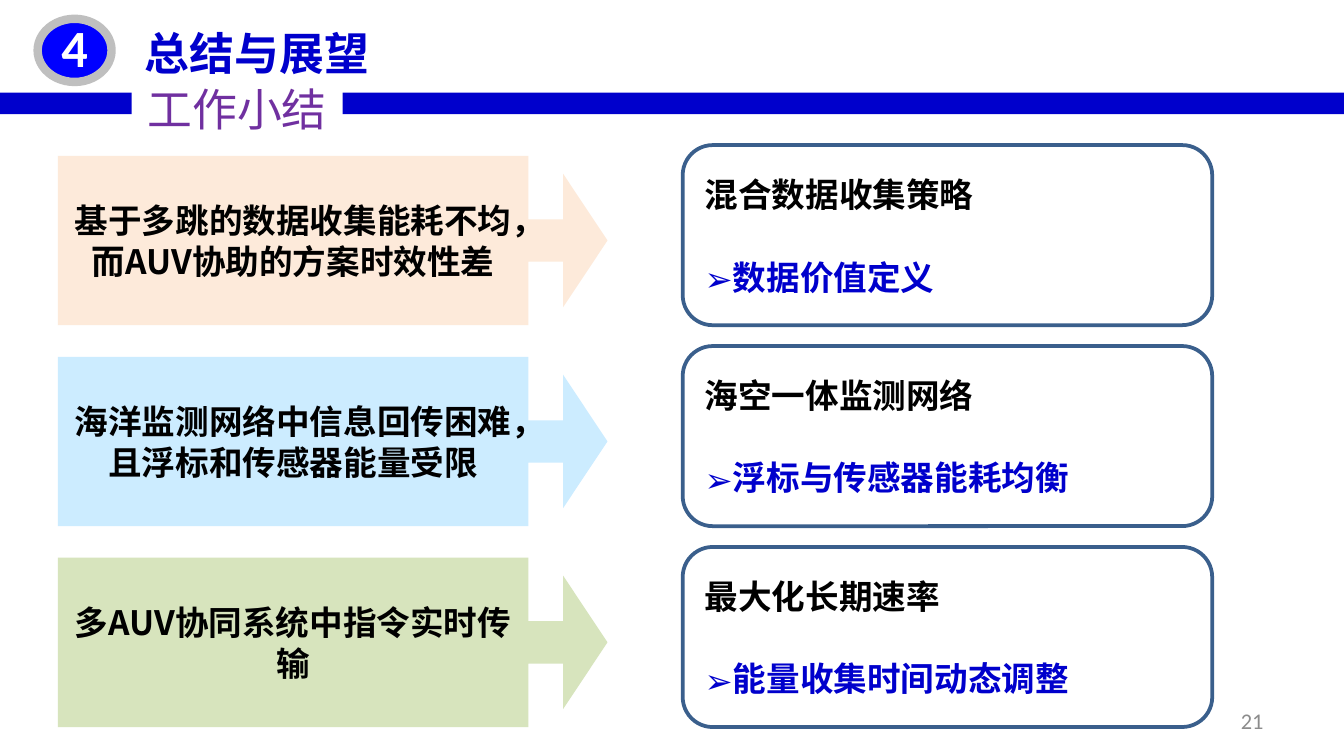
from dataclasses import dataclass

from lxml.etree import SubElement
from pptx import Presentation
from pptx.dml.color import RGBColor as RGB
from pptx.enum.shapes import MSO_SHAPE as SHAPE
from pptx.enum.text import MSO_ANCHOR as ANCHOR, PP_ALIGN as ALIGN
from pptx.oxml.ns import qn
from pptx.util import Inches, Pt


@dataclass(frozen=True)
class Theme:
    cjk: str = "Noto Sans CJK SC"
    latin: str = "Calibri"
    blue: str = "0000CC"
    badge: str = "0000FF"
    ring: str = "BFBFBF"
    purple: str = "7030A0"
    outline: str = "3A5F8C"
    white: str = "FFFFFF"
    black: str = "000000"
    grey: str = "8C8C8C"
    title: int = 24
    number: int = 28
    body: int = 18
    footer: int = 12


T = Theme()
prs = Presentation()
prs.slide_width = Inches(10)
prs.slide_height = prs.slide_width * 9 // 16
s = prs.slides.add_slide(prs.slide_layouts[6])


def add_box(kind, x, y, w, h, fill=None, line=None, width=0):
    """Add a preset shape, or a text box when kind is None."""
    place = [Inches(v) for v in (x, y, w, h)]
    if kind is None:
        sp = s.shapes.add_textbox(*place)
    else:
        sp = s.shapes.add_shape(kind, *place)
        sp.shadow.inherit = False
        if fill:
            sp.fill.solid()
            sp.fill.fore_color.rgb = RGB.from_string(fill)
        else:
            sp.fill.background()
        if line:
            sp.line.color.rgb = RGB.from_string(line)
            sp.line.width = Pt(width)
        else:
            sp.line.fill.background()
    sp.text_frame.word_wrap = True
    sp.text_frame.vertical_anchor = ANCHOR.MIDDLE
    return sp


def write(sp, text, size, color, align, font=T.cjk, bold=False):
    """Fill the shape with one paragraph for each line of text."""
    sp.text_frame.text = text
    for p in sp.text_frame.paragraphs:
        p.alignment = align
        f = p.runs[0].font
        f.size, f.bold, f.name = Pt(size), bold, font
        f.color.rgb = RGB.from_string(color)
        SubElement(f._element, qn("a:ea")).set("typeface", font)
    return sp.text_frame.paragraphs


# Header
add_box(SHAPE.RECTANGLE, 0, 0.69, 10, 0.16, T.blue)
title = add_box(None, 0.98, 0.14, 6.38, 0.5)
write(title, "总结与展望", T.title, T.blue, ALIGN.JUSTIFY, bold=True)
add_box(SHAPE.OVAL, 0.28, 0.14, 0.55, 0.47, T.badge, T.ring, 4.5)
subtitle = add_box(SHAPE.RECTANGLE, 0.98, 0.61, 1.57, 0.39, T.white)
write(subtitle, "工作小结", T.title, T.purple, ALIGN.CENTER)
number = add_box(None, 0.28, 0.06, 0.55, 0.58)
write(number, "4", T.number, T.white, ALIGN.CENTER, T.latin, True)

# Each row: a problem pointing to its solution
rows = [
    ("FDEADA", "基于多跳的数据收集能耗不均，而AUV协助的方案时效性差",
     "混合数据收集策略", "数据价值定义"),
    ("CCECFF", "海洋监测网络中信息回传困难，且浮标和传感器能量受限",
     "海空一体监测网络", "浮标与传感器能耗均衡"),
    ("D7E4BD", "多AUV协同系统中指令实时传输",
     "最大化长期速率", "能量收集时间动态调整"),
]
line_height = Pt(22)
for i, (fill, problem, solution, detail) in enumerate(rows):
    y = 1.08 + 1.495 * i
    callout = add_box(SHAPE.RIGHT_ARROW_CALLOUT, 0.43, y + 0.08, 4.09, 1.26, fill)
    for k, value in enumerate((0.25, 0.394, 0.262, 0.856)):
        callout.adjustments[k] = value
    p, = write(callout, problem, T.body, T.black, ALIGN.CENTER, bold=True)
    p.line_spacing = line_height

    card = add_box(SHAPE.ROUNDED_RECTANGLE, 5.08, y, 3.94, 1.34, None, T.outline, 2)
    head, item = write(card, f"{solution}\n{detail}", T.body, T.black,
                       ALIGN.JUSTIFY, bold=True)
    head.line_spacing = item.line_spacing = line_height
    item.space_before = line_height
    item.runs[0].font.color.rgb = RGB.from_string(T.blue)
    pPr = item._p.get_or_add_pPr()
    pPr.set("marL", str(Inches(0.2)))
    pPr.set("indent", str(-Inches(0.2)))
    SubElement(pPr, qn("a:buFont")).set("typeface", T.cjk)
    SubElement(pPr, qn("a:buChar")).set("char", "➢")

# Page number
page = add_box(None, 7.17, 5.21, 2.33, 0.3)
write(page, "21", T.footer, T.grey, ALIGN.RIGHT, T.latin)

prs.save("out.pptx")
